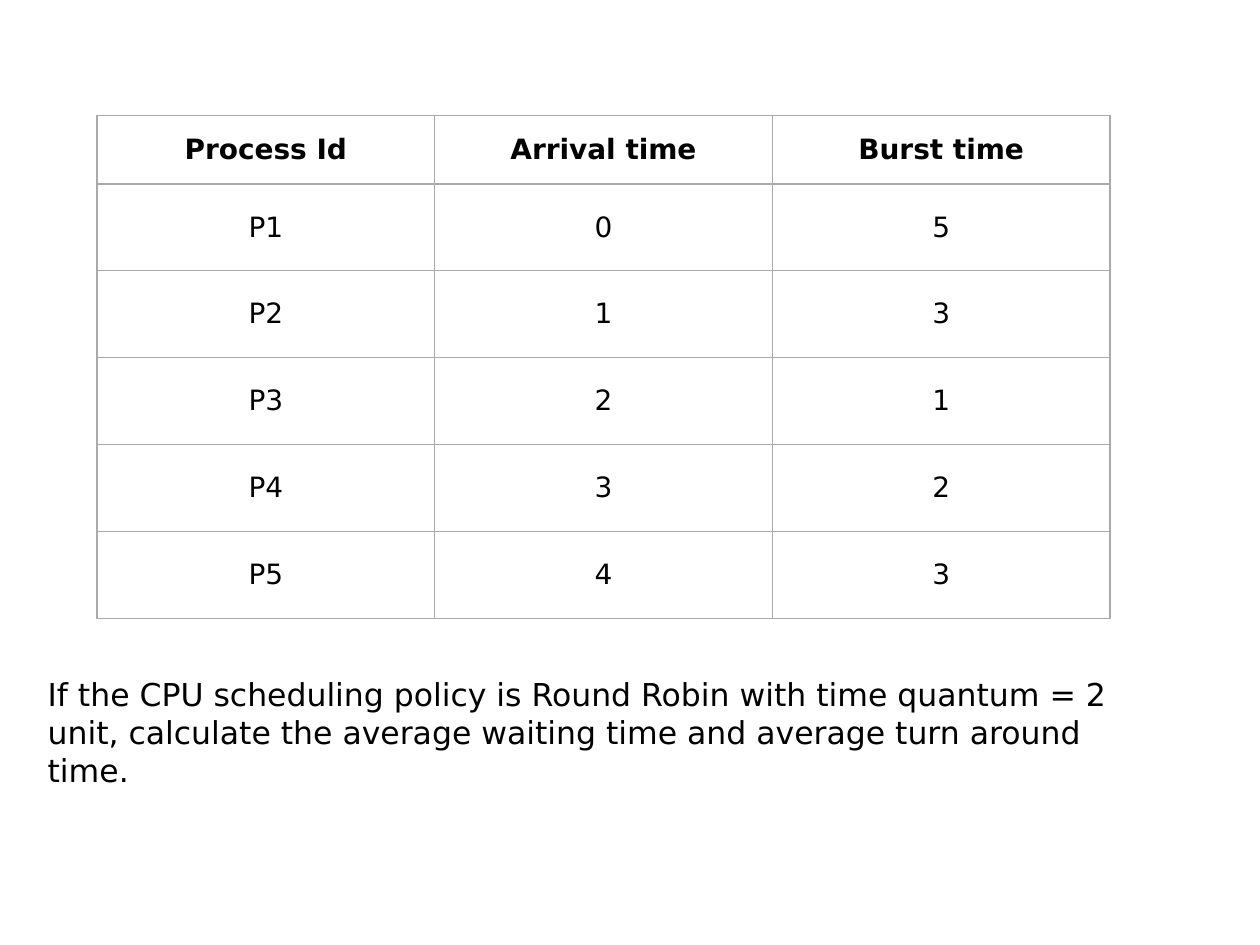
import dataclasses

import lxml.etree
import pptx
import pptx.dml.color
import pptx.enum.text
import pptx.oxml.ns
import pptx.util

Inches = pptx.util.Inches
Pt = pptx.util.Pt
RGB = pptx.dml.color.RGBColor.from_string
qn = pptx.oxml.ns.qn
Align = pptx.enum.text.PP_ALIGN
Anchor = pptx.enum.text.MSO_ANCHOR


@dataclasses.dataclass(frozen=True)
class Theme:
    font: str = "DejaVu Sans"
    ink: str = "000000"
    paper: str = "FFFFFF"
    rule: str = "AAAAAA"
    line: float = 0.75
    cell: int = 16
    body: int = 18


THEME = Theme()
HEADS = ("Process Id", "Arrival time", "Burst time")
JOBS = (("P1", 0, 5), ("P2", 1, 3), ("P3", 2, 1), ("P4", 3, 2), ("P5", 4, 3))
TASK = (
    "If the CPU scheduling policy is Round Robin with time quantum = 2 unit, "
    "calculate the average waiting time and average turn around time."
)


def apply(target, values):
    for name, value in values.items():
        setattr(target, name, value)


def write(frame, text, size, bold=False, align=Align.LEFT):
    para = frame.paragraphs[0]
    para.alignment = align
    run = para.add_run()
    run.text = text
    apply(run.font, {"name": THEME.font, "size": Pt(size), "bold": bold})
    run.font.color.rgb = RGB(THEME.ink)


def border(cell):
    """Rule all four sides; call before the fill, which must come last."""
    props = cell._tc.get_or_add_tcPr()
    for side in ("lnL", "lnR", "lnT", "lnB"):
        line = lxml.etree.SubElement(props, qn(f"a:{side}"), w=str(Pt(THEME.line)))
        fill = lxml.etree.SubElement(line, qn("a:solidFill"))
        lxml.etree.SubElement(fill, qn("a:srgbClr"), val=THEME.rule)


def style(cell):
    apply(cell, {
        "vertical_anchor": Anchor.MIDDLE,
        "margin_left": Inches(0.1),
        "margin_right": Inches(0.1),
        "margin_top": Inches(0.08),
        "margin_bottom": Inches(0.08),
    })
    border(cell)
    cell.fill.solid()
    cell.fill.fore_color.rgb = RGB(THEME.paper)


def add_jobs(slide):
    rows = (HEADS, *JOBS)
    table = slide.shapes.add_table(
        len(rows), len(HEADS), Inches(0.77), Inches(0.92), Inches(8.04), Inches(4)
    ).table
    apply(table, {"first_row": False, "horz_banding": False})
    for col in table.columns:
        col.width = Inches(2.68)
    for r, row in enumerate(rows):
        table.rows[r].height = Inches(0.69 if r else 0.54)
        for c, value in enumerate(row):
            cell = table.cell(r, c)
            style(cell)
            write(cell.text_frame, str(value), THEME.cell, r == 0, Align.CENTER)


def add_task(slide):
    box = slide.shapes.add_textbox(
        Inches(0.28), Inches(5.31), Inches(9.01), Inches(1.01)
    )
    apply(box.text_frame, {
        "word_wrap": True,
        "auto_size": pptx.enum.text.MSO_AUTO_SIZE.SHAPE_TO_FIT_TEXT,
    })
    write(box.text_frame, TASK, THEME.body)


def main():
    deck = pptx.Presentation()
    apply(deck, {"slide_width": Inches(10), "slide_height": Inches(7.5)})
    slide = deck.slides.add_slide(deck.slide_layouts[6])
    add_jobs(slide)
    add_task(slide)
    deck.save("out.pptx")


if __name__ == "__main__":
    main()
